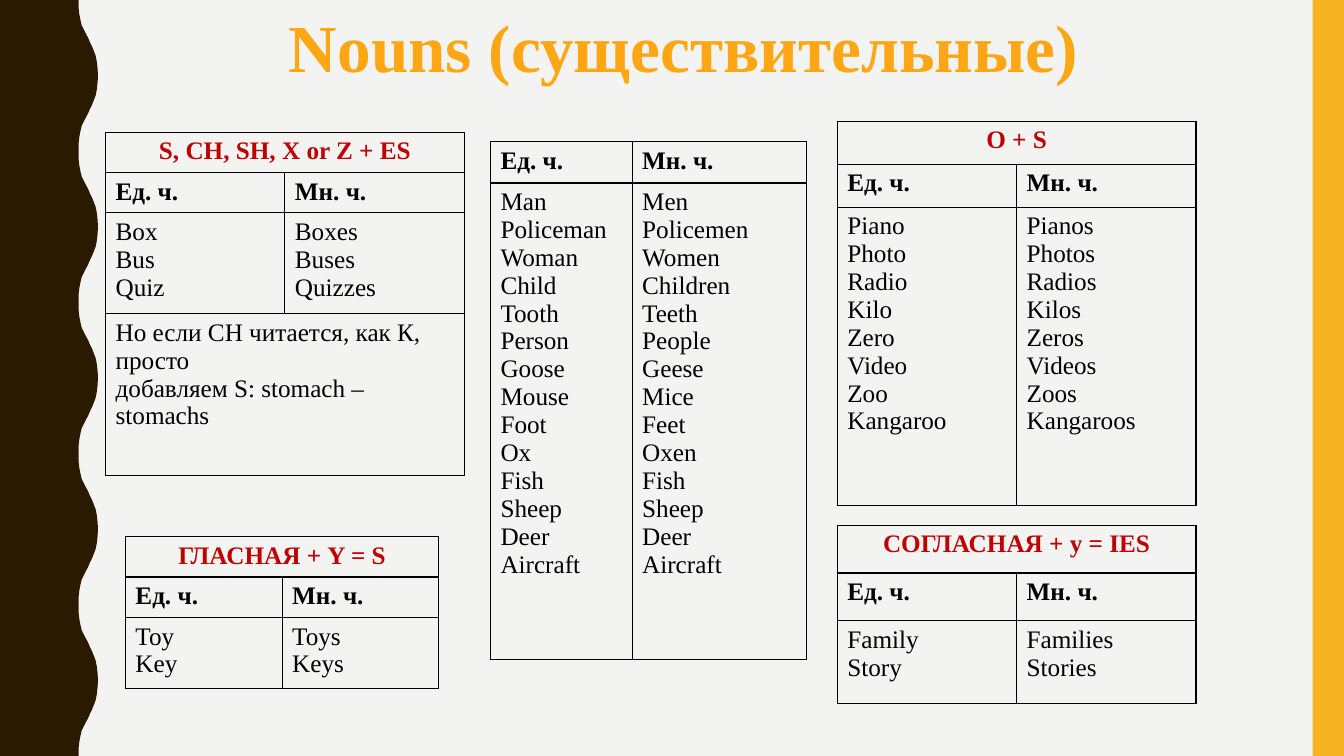
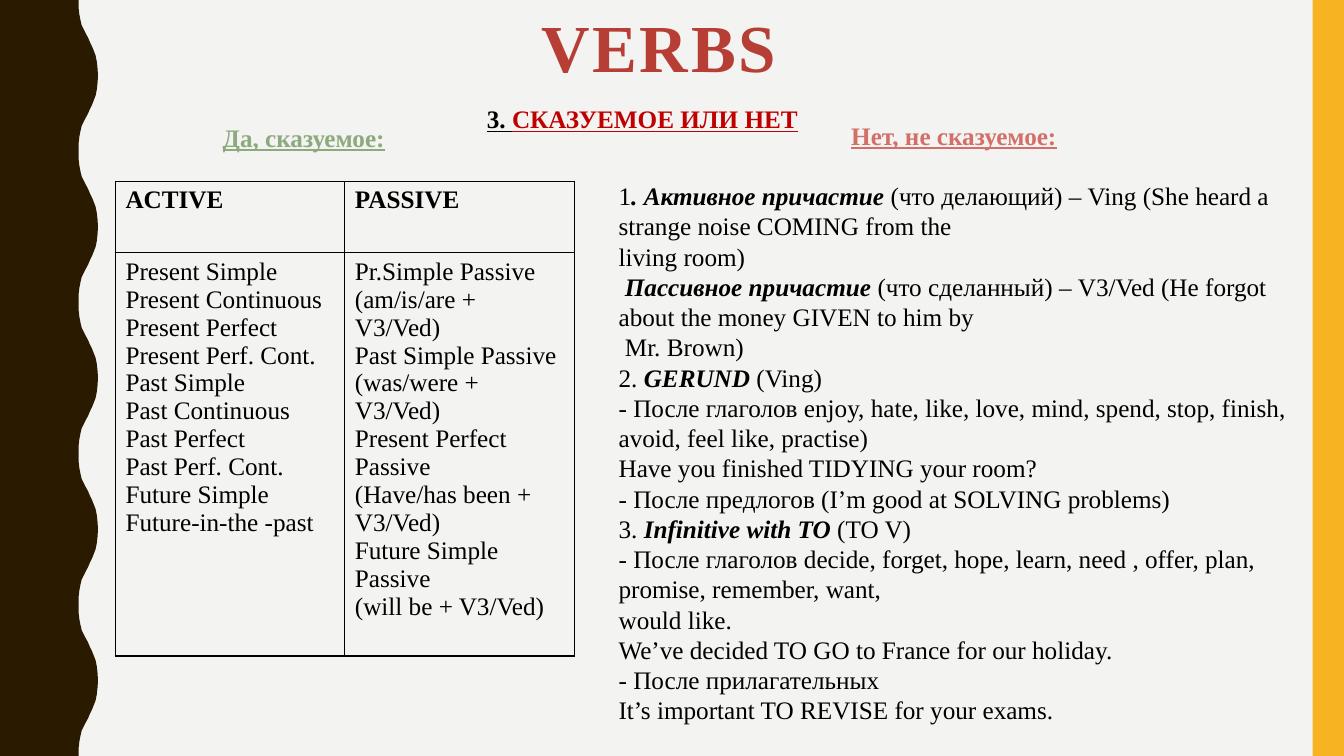
"""Build two English grammar slides: noun plurals and verb forms."""
from dataclasses import dataclass

from lxml.etree import SubElement
from pptx import Presentation
from pptx.dml.color import RGBColor
from pptx.enum.shapes import MSO_SHAPE
from pptx.enum.text import PP_ALIGN
from pptx.oxml.ns import qn
from pptx.util import Cm, Pt


@dataclass(frozen=True)
class Theme:
    font: str = "Times New Roman"
    title_size: int = 48
    body_size: int = 18
    border: float = 1
    paper: str = "F3F3F2"
    dark: str = "2A1A00"
    band: str = "F8B323"
    text: str = "000000"
    rule: str = "C00000"
    orange: str = "FFA615"
    brick: str = "B73E35"
    green: str = "8CAA7E"
    rose: str = "D36F68"


T = Theme()
WIDTH, HEIGHT = 33.87, 19.05
BAND_WIDTH = 0.79
WAVE_PERIOD = HEIGHT / 5
HALF_WAVE = [
    (1.98, 0), (1.98, 0.18), (2.0, 0.36), (2.03, 0.51), (2.06, 0.64),
    (2.11, 0.74), (2.16, 0.84), (2.22, 0.95), (2.27, 1.07), (2.32, 1.17),
    (2.36, 1.27), (2.41, 1.4), (2.44, 1.55), (2.46, 1.73), (2.47, 1.9),
]
BOLD = {"bold": True}
ACCENT = {"bold": True, "italic": True}
UNDERLINED = {"bold": True, "underline": True}
NUMBERS = ["Ед. ч.", "Мн. ч."]


class Deck:
    def __init__(self):
        self.prs = Presentation()
        self.prs.slide_width, self.prs.slide_height = Cm(WIDTH), Cm(HEIGHT)
        fill = self.prs.slide_master.background.fill
        fill.solid()
        fill.fore_color.rgb = RGBColor.from_string(T.paper)
        self.s = None

    def slide(self):
        self.s = self.prs.slides.add_slide(self.prs.slide_layouts[6])
        self.wave()
        sp = self.s.shapes.add_shape(
            MSO_SHAPE.RECTANGLE, Cm(WIDTH - BAND_WIDTH), 0, Cm(BAND_WIDTH), Cm(HEIGHT))
        self.paint(sp, T.band)

    def paint(self, sp, color):
        sp.shadow.inherit = False
        sp.fill.solid()
        sp.fill.fore_color.rgb = RGBColor.from_string(color)
        sp.line.fill.background()

    def wave(self):
        period = HALF_WAVE + [(x, WAVE_PERIOD - y) for x, y in reversed(HALF_WAVE)]
        edge = [(x, y + i * WAVE_PERIOD) for i in range(5) for x, y in period]
        fb = self.s.shapes.build_freeform(0, 0)
        fb.add_line_segments([(Cm(x), Cm(y)) for x, y in edge + [(0, HEIGHT)]])
        self.paint(fb.convert_to_shape(), T.dark)

    def run(self, p, text, color=T.text, spacing=0, **fmt):
        r = p.add_run()
        r.text = text
        values = {"name": T.font, "size": Pt(T.body_size), "bold": False} | fmt
        for key, value in values.items():
            setattr(r.font, key, value)
        r.font.color.rgb = RGBColor.from_string(color)
        if spacing:
            r.font._element.set("spc", str(spacing * 100))

    def paragraphs(self, tf, lines, align):
        for i, line in enumerate(lines):
            p = tf.paragraphs[0] if i == 0 else tf.add_paragraph()
            p.alignment = align
            for text, fmt in line:
                self.run(p, text, **fmt)

    def text(self, box, lines, align=PP_ALIGN.LEFT):
        tf = self.s.shapes.add_textbox(*map(Cm, box)).text_frame
        tf.word_wrap = True
        self.paragraphs(tf, lines, align)
        return tf

    def title(self, box, text, color, **fmt):
        style = {"size": Pt(T.title_size), "color": color} | BOLD | fmt
        self.text(box, [[(text, style)]], PP_ALIGN.CENTER)

    def border(self, cell):
        tcPr = cell._tc.get_or_add_tcPr()
        for i, side in enumerate(("a:lnL", "a:lnR", "a:lnT", "a:lnB")):
            ln = tcPr.makeelement(qn(side), {"w": str(Pt(T.border))})
            fill = SubElement(ln, qn("a:solidFill"))
            SubElement(fill, qn("a:srgbClr"), {"val": T.text})
            tcPr.insert(i, ln)

    def table(self, at, widths, heights, headings, columns, rule=None, note=None):
        rows = [[[h] for h in headings], columns]
        if rule:
            rows.insert(0, [[rule]])
        if note:
            rows.append([note])
        size = sum(widths), sum(heights)
        tbl = self.s.shapes.add_table(
            len(rows), len(widths), *map(Cm, at + size)).table
        tbl.first_row = tbl.horz_banding = False
        for col, width in zip(tbl.columns, widths):
            col.width = Cm(width)
        for row, height in zip(tbl.rows, heights):
            row.height = Cm(height)
        for i, row in enumerate(rows):
            if len(row) == 1:
                tbl.cell(i, 0).merge(tbl.cell(i, len(widths) - 1))
            is_rule = rule is not None and i == 0
            fmt = {"bold": row is not columns and row != [note],
                   "color": T.rule if is_rule else T.text}
            align = PP_ALIGN.CENTER if is_rule else PP_ALIGN.LEFT
            for j, lines in enumerate(row):
                self.paragraphs(tbl.cell(i, j).text_frame,
                                [[(line, fmt)] for line in lines], align)
        for cell in tbl.iter_cells():
            cell.fill.background()
            self.border(cell)


def nouns(deck):
    deck.slide()
    deck.title((6.93, 0, 20.6, 2.31), "Nouns (существительные)", T.orange)
    deck.table(
        (12.36, 3.57), (3.57, 4.4), (1.04, 12.01), NUMBERS,
        [["Man", "Policeman", "Woman", "Child", "Tooth", "Person", "Goose",
          "Mouse", "Foot", "Ox", "Fish", "Sheep", "Deer", "Aircraft"],
         ["Men", "Policemen", "Women", "Children", "Teeth", "People", "Geese",
          "Mice", "Feet", "Oxen", "Fish", "Sheep", "Deer", "Aircraft"]])
    deck.table(
        (3.16, 13.52), (3.95, 3.95), (1.02, 1.02, 1.78), NUMBERS,
        [["Toy", "Key"], ["Toys", "Keys"]], rule="ГЛАСНАЯ + Y = S")
    deck.table(
        (21.1, 13.24), (4.52, 4.52), (1.2, 1.2, 2.08), NUMBERS,
        [["Family", "Story"], ["Families", "Stories"]],
        rule="СОГЛАСНАЯ + y = IES")
    deck.table(
        (2.66, 3.33), (4.52, 4.52), (1.01, 1.01, 2.54, 4.08), NUMBERS,
        [["Box", "Bus", "Quiz"], ["Boxes", "Buses", "Quizzes"]],
        rule="S, CH, SH, X or Z + ES",
        note=["Но если CH читается, как К, просто",
              "добавляем S: stomach – stomachs"])
    deck.table(
        (21.1, 3.06), (4.52, 4.52), (1.08, 1.08, 7.51), NUMBERS,
        [["Piano", "Photo", "Radio", "Kilo", "Zero", "Video", "Zoo", "Kangaroo"],
         ["Pianos", "Photos", "Radios", "Kilos", "Zeros", "Videos", "Zoos",
          "Kangaroos"]], rule="O + S")


def verbs(deck):
    deck.slide()
    deck.title((11.29, 0, 10.62, 2.31), "VERBS", T.brick, spacing=2)
    deck.text((11.82, 2.49, 8.74, 1.02),
              [[("3. ", UNDERLINED),
                ("СКАЗУЕМОЕ ИЛИ НЕТ", UNDERLINED | {"color": T.rule})]],
              PP_ALIGN.CENTER)
    deck.table(
        (2.91, 4.57), (5.78, 5.78), (1.8, 10.16), ["ACTIVE", "PASSIVE"],
        [["Present Simple", "Present Continuous", "Present Perfect",
          "Present Perf. Cont.", "Past Simple", "Past Continuous",
          "Past Perfect", "Past Perf. Cont.", "Future Simple",
          "Future-in-the -past"],
         ["Pr.Simple Passive", "(am/is/are + V3/Ved)", "Past Simple Passive",
          "(was/were + V3/Ved)", "Present Perfect Passive", "(Have/has been +",
          "V3/Ved)", "Future Simple Passive", "(will be + V3/Ved)"]])
    deck.text((5.33, 2.95, 4.65, 1.02),
              [[("Да, сказуемое:", UNDERLINED | {"color": T.green})]],
              PP_ALIGN.CENTER)
    tf = deck.text((15.34, 2.9, 17.4, 15.65), [
        [("Нет, не сказуемое:", UNDERLINED | {"color": T.rose})],
        [("1", {}), (". Активное причастие ", ACCENT),
         ("(что делающий) – Ving (She heard a strange noise COMING from the", {})],
        [("living room)", {})],
        [(" ", {}), ("Пассивное причастие ", ACCENT),
         ("(что сделанный) – V3/Ved (He forgot about the money GIVEN to him by", {})],
        [(" Mr. Brown)", {})],
        [("2. ", {}), ("GERUND", ACCENT), (" (Ving)", {})],
        [("- После глаголов enjoy, hate, like, love, mind, spend, stop, finish, "
          "avoid, feel like, practise)", {})],
        [("Have you finished TIDYING your room?", {})],
        [("- После предлогов (I’m good at SOLVING problems)", {})],
        [("3. ", {}), ("Infinitive with TO ", ACCENT), ("(TO V)", {})],
        [("- После глаголов decide, forget, hope, learn, need , offer, plan, "
          "promise, remember, want,", {})],
        [("would like.", {})],
        [("We’ve decided TO GO to France for our holiday.", {})],
        [("- После прилагательных", {})],
        [("It’s important TO REVISE for your exams.", {})],
    ])
    heading = tf.paragraphs[0]
    heading.alignment = PP_ALIGN.CENTER
    heading.space_after = Pt(21.6)


def main():
    deck = Deck()
    nouns(deck)
    verbs(deck)
    deck.prs.save("out.pptx")


if __name__ == "__main__":
    main()
